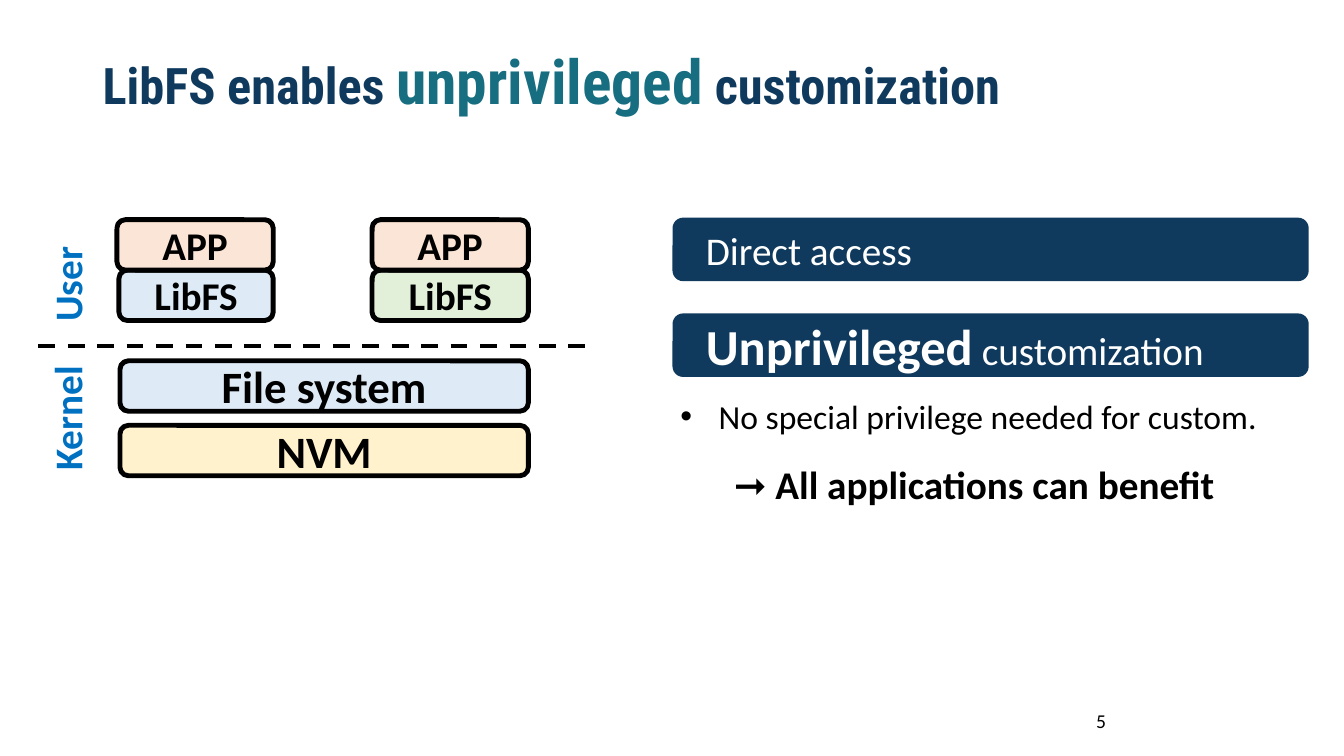
from lxml import etree
from pptx import Presentation
from pptx.dml.color import RGBColor
from pptx.enum import dml, shapes, text
from pptx.oxml.ns import qn
from pptx.util import Inches, Pt

NAVY, TEAL, BLUE, BLACK, WHITE = "0F3A5D", "176E80", "0070C0", "000000", "FFFFFF"
PEACH, ICE, GREEN, CREAM = "FBE5D6", "DEEBF7", "E2F0D9", "FFF2CC"
BODY, HEADING = "Calibri", "Roboto Condensed"

# Runs: text, size, colour, bold
TITLE = [("LibFS enables ", 36, NAVY, True), ("unprivileged", 44, TEAL, True),
         (" customization", 36, NAVY, True)]
PAGE_NUMBER = [("5", 14, BLACK, False)]
BANNERS = [
    (2.16, [("Direct access", 28, WHITE, False)]),
    (3.11, [("Unprivileged", 36, WHITE, True), (" customization", 28, WHITE, False)]),
]
BENEFIT = [("No special privilege needed for custom.", 24, BLACK, False)]
CONCLUSION = [("➞ All applications can benefit", 28, BLACK, True)]

# Layers: label, left, top, width, fill, text size
LAYERS = [
    ("File system", 1.19, 3.58, 4.05, ICE, 32),
    ("NVM", 1.19, 4.22, 4.05, CREAM, 32),
    ("LibFS", 1.18, 2.68, 1.53, ICE, 28),
    ("LibFS", 3.69, 2.68, 1.55, GREEN, 28),
    ("APP", 1.16, 2.18, 1.55, PEACH, 28),
    ("APP", 3.69, 2.18, 1.55, PEACH, 28),
]
LAYER_HEIGHT = 0.5
SPACES = [("User", 0.16, 2.5, 1.01), ("Kernel", 0.03, 3.85, 1.27)]


def rgb(colour):
    return RGBColor.from_string(colour)


def add_runs(paragraph, runs, font=BODY, align=text.PP_ALIGN.LEFT, spacing=None):
    paragraph.alignment = align
    if spacing:
        paragraph.line_spacing = spacing
    for words, size, colour, bold in runs:
        run = paragraph.add_run()
        run.text = words
        run.font.name = font
        run.font.size = Pt(size)
        run.font.bold = bold
        run.font.color.rgb = rgb(colour)


def add_textbox(slide, box, anchor=text.MSO_ANCHOR.TOP, wrap=True):
    shape = slide.shapes.add_textbox(*map(Inches, box))
    shape.text_frame.word_wrap = wrap
    shape.text_frame.vertical_anchor = anchor
    return shape


def add_block(slide, box, fill, outlined):
    """Add a rounded box, with a thick black outline if outlined."""
    shape = slide.shapes.add_shape(shapes.MSO_SHAPE.ROUNDED_RECTANGLE, *map(Inches, box))
    shape.shadow.inherit = False
    shape.fill.solid()
    shape.fill.fore_color.rgb = rgb(fill)
    if outlined:
        shape.line.color.rgb = rgb(BLACK)
        shape.line.width = Pt(3.5)
    else:
        shape.line.fill.background()
    shape.text_frame.word_wrap = True
    shape.text_frame.vertical_anchor = text.MSO_ANCHOR.MIDDLE
    return shape


def indent(paragraph, left, first=0, bullet=None):
    properties = paragraph._p.get_or_add_pPr()
    properties.set("marL", str(Inches(left)))
    properties.set("indent", str(Inches(first)))
    if bullet:
        font = etree.SubElement(properties, qn("a:buFont"))
        font.set("typeface", "Arial")
        etree.SubElement(properties, qn("a:buChar")).set("char", bullet)


def add_stack(slide):
    for label, left, top, width, fill, size in LAYERS:
        block = add_block(slide, (left, top, width, LAYER_HEIGHT), fill, True)
        add_runs(block.text_frame.paragraphs[0], [(label, size, BLACK, True)],
                 align=text.PP_ALIGN.CENTER)
    for label, left, top, width in SPACES:
        side = add_textbox(slide, (left, top, width, 0.57), wrap=False)
        side.rotation = 270
        add_runs(side.text_frame.paragraphs[0], [(label, 28, BLUE, True)])
    border = slide.shapes.add_connector(
        shapes.MSO_CONNECTOR.STRAIGHT, *map(Inches, (0.38, 3.43, 5.83, 3.43)))
    border.line.color.rgb = rgb(BLACK)
    border.line.width = Pt(3)
    border.line.dash_style = dml.MSO_LINE.DASH
    etree.SubElement(border._element.spPr, qn("a:effectLst"))


def add_claims(slide):
    for top, runs in BANNERS:
        banner = add_block(slide, (6.67, top, 6.31, 0.63), NAVY, False)
        banner.text_frame.margin_left = Inches(0.3)
        add_runs(banner.text_frame.paragraphs[0], runs)
    frame = add_textbox(slide, (6.65, 3.68, 6.53, 0.75)).text_frame
    benefit = frame.paragraphs[0]
    indent(benefit, 0.38, -0.38, "•")
    add_runs(benefit, BENEFIT, spacing=1.5)
    conclusion = frame.add_paragraph()
    indent(conclusion, 0.53)
    add_runs(conclusion, CONCLUSION, spacing=1.5)


def main():
    presentation = Presentation()
    presentation.slide_width = Inches(13.33)
    presentation.slide_height = Inches(7.5)
    slide = presentation.slides.add_slide(presentation.slide_layouts[6])
    title = add_textbox(slide, (0.92, 0.4, 12.04, 0.87), text.MSO_ANCHOR.MIDDLE)
    add_runs(title.text_frame.paragraphs[0], TITLE, HEADING, spacing=0.9)
    number = add_textbox(slide, (9.42, 6.95, 3, 0.4), text.MSO_ANCHOR.MIDDLE)
    add_runs(number.text_frame.paragraphs[0], PAGE_NUMBER, align=text.PP_ALIGN.CENTER)
    add_stack(slide)
    add_claims(slide)
    presentation.save("out.pptx")


if __name__ == "__main__":
    main()
